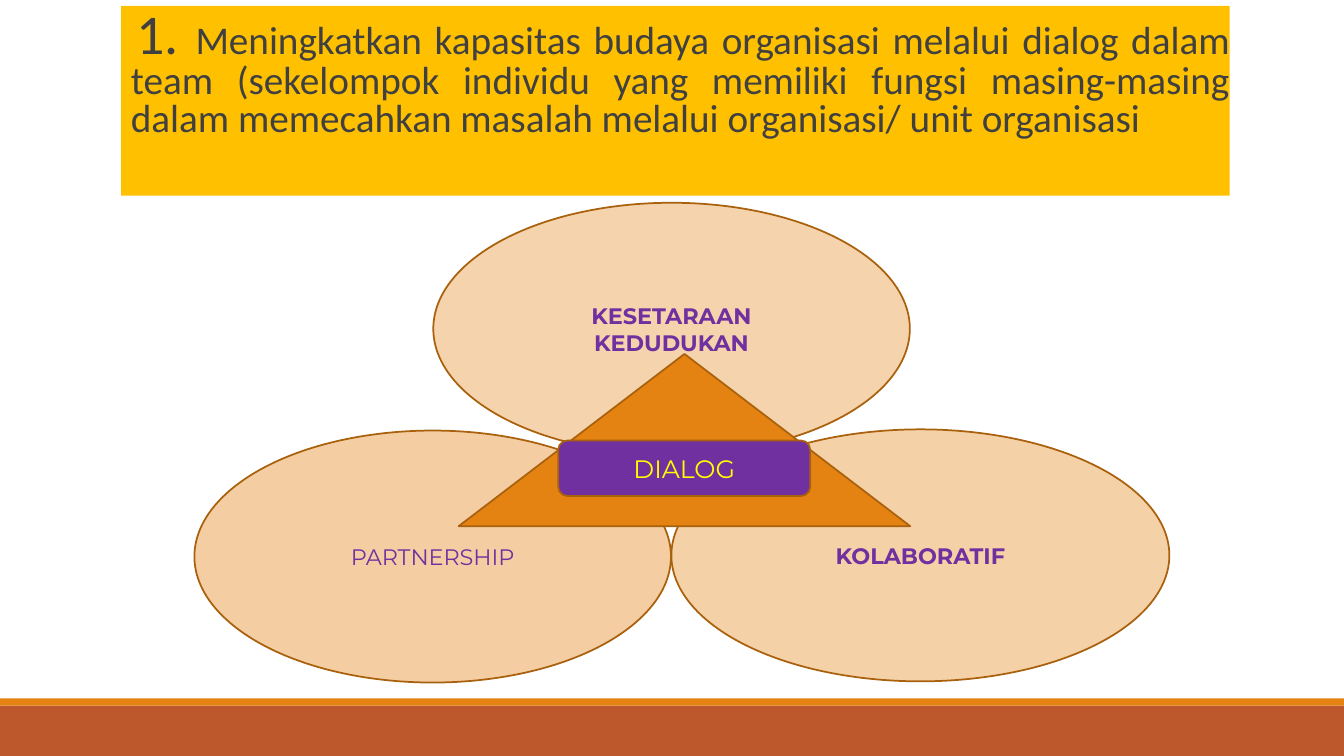
"""Build a slide on dialog within a team: three overlapping ellipses around a triangle."""
from lxml import etree
from pptx import Presentation
from pptx.dml.color import RGBColor
from pptx.enum import shapes, text
from pptx.oxml import ns
from pptx.util import Cm, Pt

ORANGE = RGBColor(0xE4, 0x83, 0x12)
RUST = RGBColor(0xBD, 0x58, 0x2C)
BROWN = RGBColor(0xA9, 0x61, 0x0D)
AMBER = RGBColor(0xFF, 0xC0, 0x00)
PURPLE = RGBColor(0x70, 0x30, 0xA0)
YELLOW = RGBColor(0xFF, 0xFF, 0x00)
GREY = RGBColor(0x40, 0x40, 0x40)
SHAPE = shapes.MSO_SHAPE


def add_filled(collection, kind, box, color, outline=None):
    shape = collection.add_shape(kind, *[Cm(length) for length in box])
    shape.shadow.inherit = False
    shape.fill.solid()
    shape.fill.fore_color.rgb = color
    if outline is None:
        shape.line.fill.background()
    else:
        shape.line.color.rgb = outline
        shape.line.width = Pt(1.25)
    return shape


def add_label(shape, label, size, color, bold=False):
    frame = shape.text_frame
    frame.word_wrap = True
    frame.vertical_anchor = text.MSO_ANCHOR.MIDDLE
    paragraph = frame.paragraphs[0]
    paragraph.text = label
    paragraph.alignment = text.PP_ALIGN.CENTER
    paragraph.font.name = "Montserrat"
    paragraph.font.size = Pt(size)
    paragraph.font.bold = bold
    paragraph.font.color.rgb = color


presentation = Presentation()
presentation.slide_width = Cm(33.87)
presentation.slide_height = Cm(19.05)
slide = presentation.slides.add_slide(presentation.slide_layouts[1])
title = slide.shapes.title
title.element.getparent().remove(title.element)

add_filled(slide.shapes, SHAPE.RECTANGLE, (0, 17.78, 33.87, 1.27), RUST)
add_filled(slide.shapes, SHAPE.RECTANGLE, (0, 17.6, 33.87, 0.18), ORANGE)

body = slide.placeholders[1]
body.left, body.top, body.width, body.height = Cm(3.05), Cm(0.15), Cm(27.94), Cm(4.78)
body.fill.solid()
body.fill.fore_color.rgb = AMBER
frame = body.text_frame
frame.auto_size = text.MSO_AUTO_SIZE.NONE
frame.vertical_anchor = text.MSO_ANCHOR.TOP
frame.margin_left = frame.margin_right = 0
frame.margin_top = frame.margin_bottom = Cm(0.13)

paragraph = frame.paragraphs[0]
properties = paragraph._p.get_or_add_pPr()
properties.set("marL", str(Cm(0.25)))
properties.set("indent", str(-Cm(0.25)))
etree.SubElement(properties, ns.qn("a:buChar"), char=" ")
paragraph.alignment = text.PP_ALIGN.JUSTIFY
paragraph.line_spacing = 0.8
paragraph.space_before = Pt(0)
paragraph.space_after = Pt(2)
paragraph.font.name = "Calibri"
paragraph.font.color.rgb = GREY
for wording, size in (
    ("1. ", 40),
    ("Meningkatkan kapasitas budaya organisasi melalui dialog dalam team "
     "(sekelompok individu yang memiliki fungsi masing-masing dalam memecahkan "
     "masalah melalui organisasi/ unit organisasi", 28),
):
    run = paragraph.add_run()
    run.text = wording
    run.font.size = Pt(size)
    run.font.name = "Calibri"
    run.font.color.rgb = GREY

diagram = slide.shapes.add_group_shape().shapes
for label, box, opacity, bold in (
    ("PARTNERSHIP", (4.9, 10.85, 12.01, 6.35), 39, False),
    ("KOLABORATIF", (16.92, 10.82, 12.55, 6.35), 37, True),
    ("KESETARAAN KEDUDUKAN", (10.92, 5.11, 12.01, 6.35), 35, True),
):
    ellipse = add_filled(diagram, SHAPE.OVAL, box, ORANGE, BROWN)
    fill_color = ellipse.element.spPr.find(ns.qn("a:solidFill"))[0]
    etree.SubElement(fill_color, ns.qn("a:alpha"), val=str(opacity * 1000))
    add_label(ellipse, label, 16, PURPLE, bold)

add_filled(diagram, SHAPE.ISOSCELES_TRIANGLE, (11.56, 8.92, 11.38, 4.34), ORANGE, BROWN)
dialog = add_filled(diagram, SHAPE.ROUNDED_RECTANGLE, (14.07, 11.1, 6.35, 1.4), PURPLE, BROWN)
add_label(dialog, "DIALOG", 18, YELLOW)

presentation.save("out.pptx")
